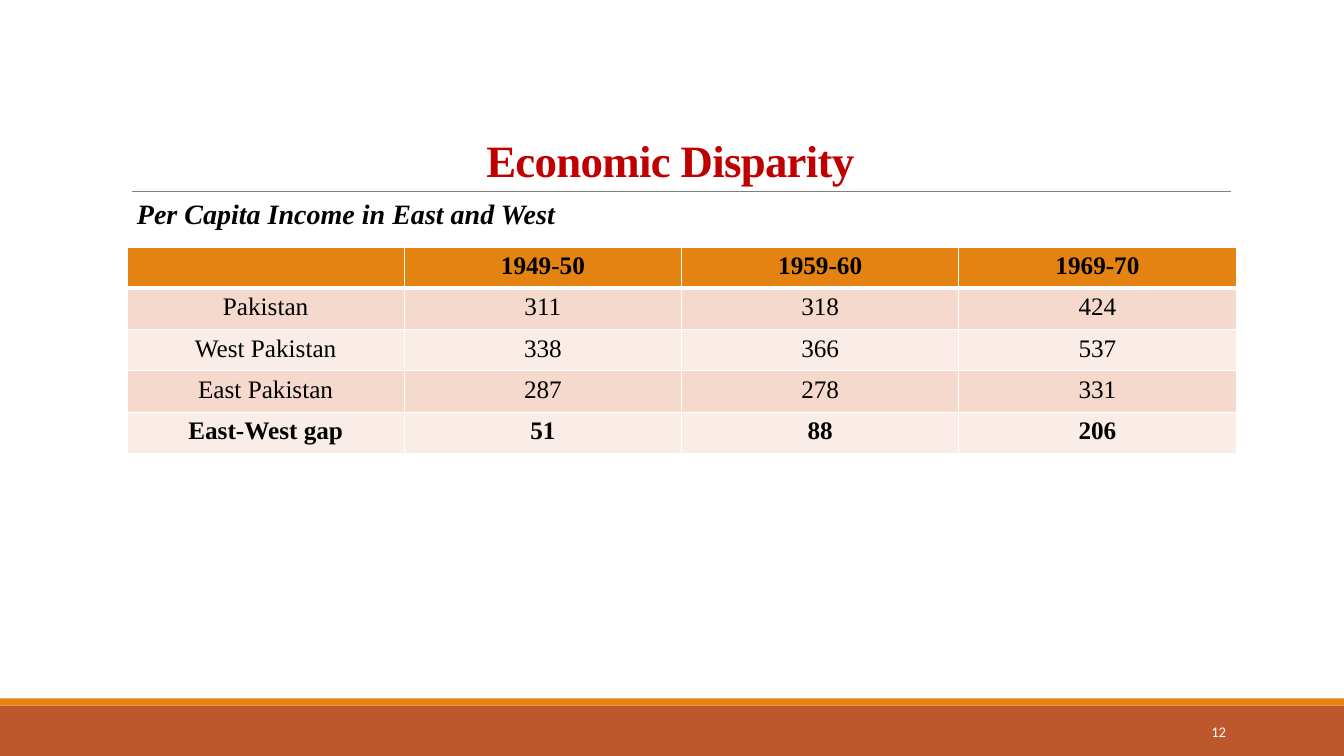
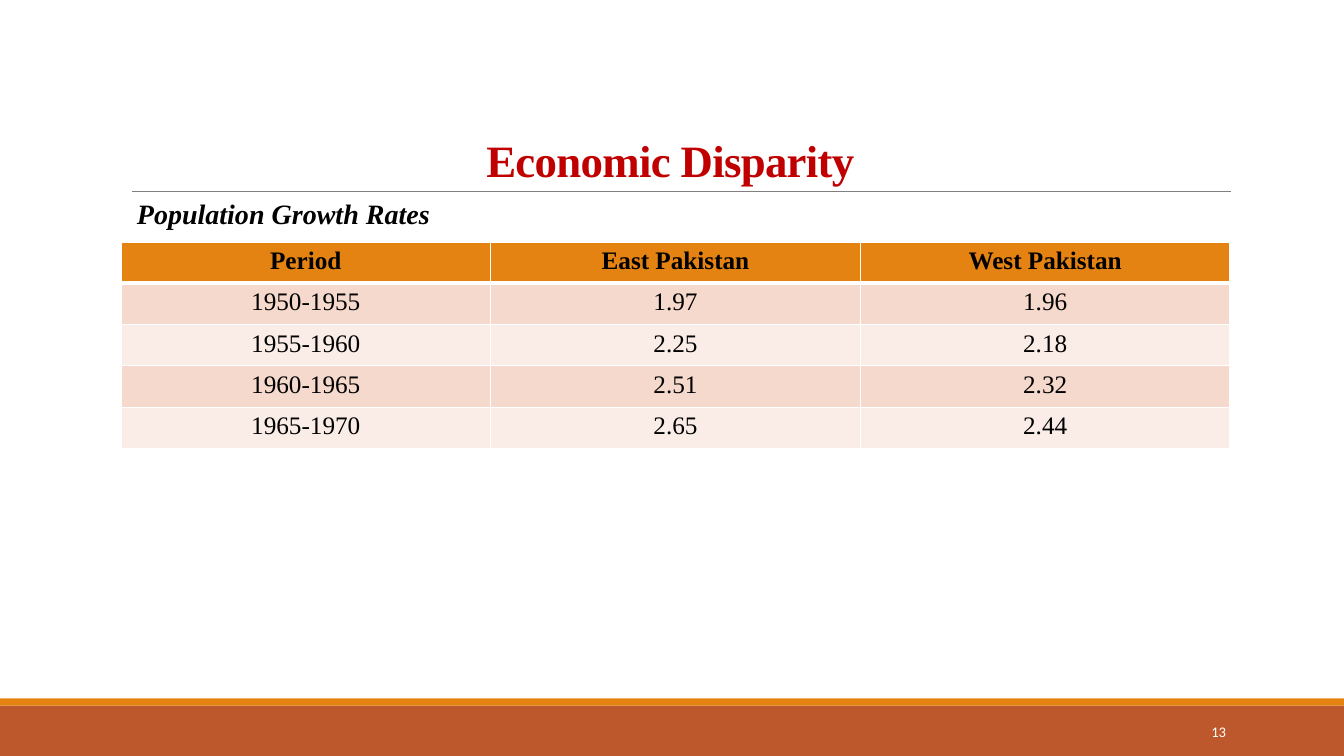
from dataclasses import dataclass

from lxml.etree import SubElement
from pptx import Presentation
from pptx.dml.color import RGBColor
from pptx.enum.shapes import MSO_CONNECTOR as Connector, MSO_SHAPE as Preset
from pptx.enum.text import MSO_ANCHOR as Anchor, MSO_AUTO_SIZE as AutoSize, PP_ALIGN as Align
from pptx.oxml.ns import qn
from pptx.util import Inches, Pt

WIDTH, HEIGHT = 13.33, 7.5
SERIF, SANS = "Times New Roman", "Calibri"
ORANGE, RUST, RED, GREY = "E48312", "BD582C", "C00000", "808080"
BLACK, WHITE = "000000", "FFFFFF"
ROW_TINTS = ("F5D9CC", "FAEDE7")
TITLE_ONLY = 5
TITLE_LEFT, TITLE_TOP, CONTENT_WIDTH, TITLE_HEIGHT = 1.2, 1, 11, 0.9
RULE_Y = TITLE_TOP + TITLE_HEIGHT
INDENT = 1.26
ROW_HEIGHT = 0.41
FIRST_LAYOUT_ID = 100


@dataclass
class TableSlide:
    number: int
    subtitle: str
    left: float
    top: float
    rows: list[list[str]]
    bold_rows: tuple[int, ...] = (0,)


SLIDES = [
    TableSlide(12, "Per Capita Income in East and West", 1.26, 2.45, [
        ["", "1949-50", "1959-60", "1969-70"],
        ["Pakistan", "311", "318", "424"],
        ["West Pakistan", "338", "366", "537"],
        ["East Pakistan", "287", "278", "331"],
        ["East-West gap", "51", "88", "206"],
    ], bold_rows=(0, 4)),
    TableSlide(13, "Population Growth Rates", 1.2, 2.4, [
        ["Period", "East Pakistan", "West Pakistan"],
        ["1950-1955", "1.97", "1.96"],
        ["1955-1960", "2.25", "2.18"],
        ["1960-1965", "2.51", "2.32"],
        ["1965-1970", "2.65", "2.44"],
    ]),
]


def rgb(color: str) -> RGBColor:
    return RGBColor.from_string(color)


def box(left: float, top: float, width: float, height: float) -> tuple:
    return tuple(Inches(length) for length in (left, top, width, height))


def write(frame, text: str, *, size: float, font: str = SERIF, color: str = BLACK,
          bold: bool = False, italic: bool = False, align=Align.LEFT,
          line_spacing: float | None = None, tracking: float = 0) -> None:
    """Fill the frame's first paragraph with one formatted run."""
    paragraph = frame.paragraphs[0]
    paragraph.alignment = align
    if line_spacing:
        paragraph.line_spacing = line_spacing
    run = paragraph.add_run()
    run.text = text
    run.font.name, run.font.size = font, Pt(size)
    run.font.bold, run.font.italic = bold, italic
    run.font.color.rgb = rgb(color)
    if tracking:
        run.font.element.set("spc", str(int(tracking * 100))) if hasattr(run.font, "element") \
            else paragraph.runs[0].font._rPr.set("spc", str(int(tracking * 100)))


def add_band(slide, top: float, height: float, color: str):
    band = slide.shapes.add_shape(Preset.RECTANGLE, *box(0, top, WIDTH, height))
    band.shadow.inherit = False
    band.fill.solid()
    band.fill.fore_color.rgb = rgb(color)
    band.line.fill.background()
    return band


def add_rule(slide):
    start_x, end_x, y = Inches(1.31), Inches(12.21), Inches(RULE_Y)
    rule = slide.shapes.add_connector(Connector.STRAIGHT, start_x, y, end_x, y)
    rule.line.color.rgb = rgb(GREY)
    rule.line.width = Pt(0.5)
    SubElement(rule.element.spPr, qn("a:effectLst"))
    return rule


def furnish_layout(layout, slide) -> None:
    """Place the title, and move bands and rule drawn on the slide to its layout."""
    title = layout.placeholders[0]
    title.left, title.top, title.width, title.height = box(
        TITLE_LEFT, TITLE_TOP, CONTENT_WIDTH, TITLE_HEIGHT)
    title.text_frame.vertical_anchor = Anchor.BOTTOM
    title.text_frame.auto_size = AutoSize.NONE
    furniture = (add_band(slide, 7, 0.5, RUST), add_band(slide, 6.93, 0.07, ORANGE),
                 add_rule(slide))
    for shape_id, shape in enumerate(furniture, FIRST_LAYOUT_ID):
        shape.element.xpath(".//p:cNvPr")[0].set("id", str(shape_id))
        layout.shapes.element.append(shape.element)


def add_border(cell, side: str, points: float) -> None:
    properties = cell._tc.get_or_add_tcPr()
    line = SubElement(properties, qn(f"a:ln{side}"), w=str(Pt(points)))
    SubElement(SubElement(line, qn("a:solidFill")), qn("a:srgbClr"), val=WHITE)


def add_data_table(slide, content: TableSlide) -> None:
    rows, columns = len(content.rows), len(content.rows[0])
    table = slide.shapes.add_table(rows, columns, *box(
        content.left, content.top, CONTENT_WIDTH, rows * ROW_HEIGHT)).table
    for row, values in enumerate(content.rows):
        table.rows[row].height = Inches(ROW_HEIGHT)
        for column, value in enumerate(values):
            cell = table.cell(row, column)
            for side in "LRTB":
                under_header = (row, side) in ((0, "B"), (1, "T"))
                add_border(cell, side, 3 if under_header else 1)
            cell.fill.solid()
            cell.fill.fore_color.rgb = rgb(ROW_TINTS[(row - 1) % 2] if row else ORANGE)
            if value:
                write(cell.text_frame, value, size=18, align=Align.CENTER,
                      bold=row in content.bold_rows)


def add_text_box(slide, place: tuple, text: str, *, anchor=Anchor.TOP,
                 auto_size=AutoSize.NONE, **text_format) -> None:
    frame = slide.shapes.add_textbox(*place).text_frame
    frame.word_wrap = True
    frame.vertical_anchor = anchor
    frame.auto_size = auto_size
    write(frame, text, **text_format)


def fill_slide(slide, content: TableSlide) -> None:
    write(slide.shapes.title.text_frame, "Economic Disparity ", size=32, color=RED,
          bold=True, align=Align.CENTER, line_spacing=0.85, tracking=-0.5)
    add_data_table(slide, content)
    add_text_box(slide, box(INDENT, RULE_Y, 4.7, 0.44), content.subtitle, size=20,
                 bold=True, italic=True, auto_size=AutoSize.SHAPE_TO_FIT_TEXT)
    add_text_box(slide, box(10.83, 7.06, 1.43, 0.4), str(content.number), size=10.5,
                 font=SANS, color=WHITE, align=Align.RIGHT, anchor=Anchor.MIDDLE)


def main() -> None:
    deck = Presentation()
    deck.slide_width, deck.slide_height = Inches(WIDTH), Inches(HEIGHT)
    layout = deck.slide_layouts[TITLE_ONLY]
    slides = [deck.slides.add_slide(layout) for _ in SLIDES]
    furnish_layout(layout, slides[0])
    for slide, content in zip(slides, SLIDES):
        fill_slide(slide, content)
    deck.save("out.pptx")


if __name__ == "__main__":
    main()
